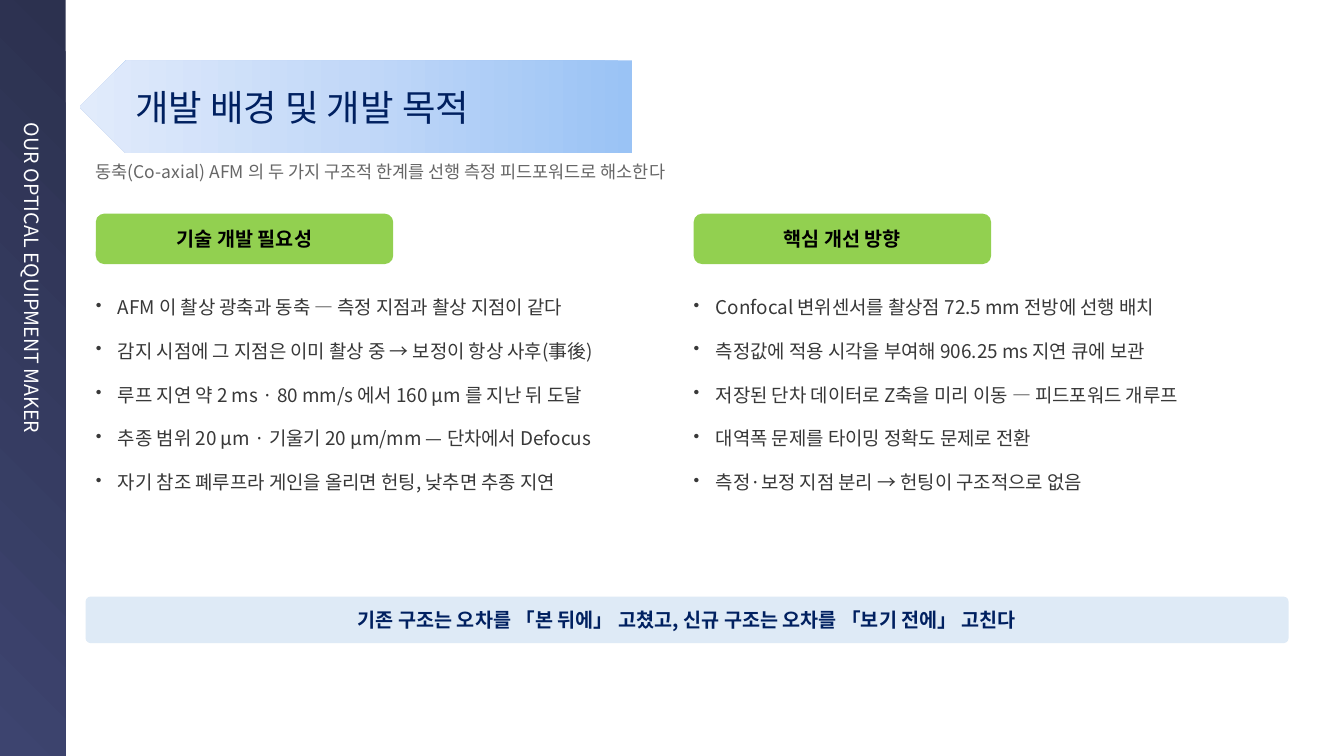
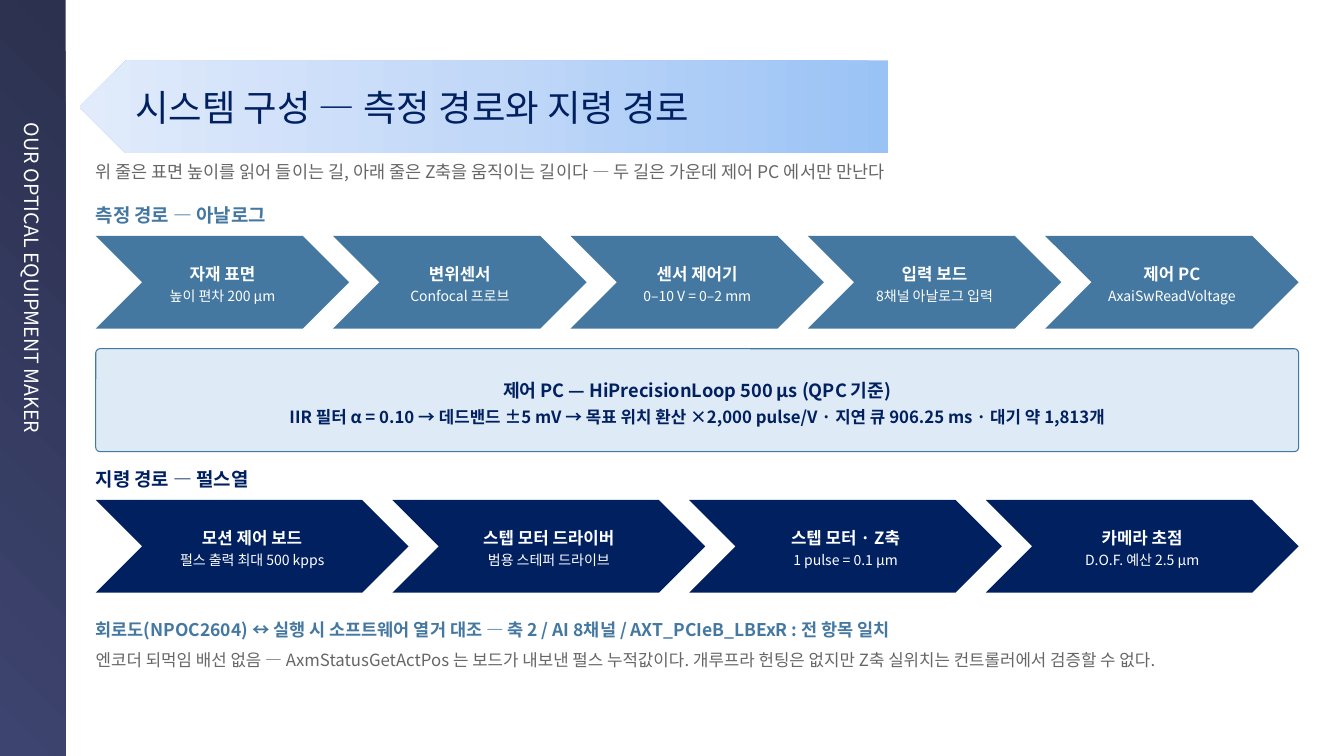
from lxml.etree import SubElement
from pptx import Presentation
from pptx.dml.color import RGBColor
from pptx.enum.shapes import MSO_SHAPE as Geo
from pptx.enum.text import MSO_ANCHOR as Anchor, PP_ALIGN as Align
from pptx.oxml.ns import qn
from pptx.util import Pt

FONT = "Noto Sans CJK KR"
NAVY, STEEL, PALE = "002060", "4478A0", "DEEAF6"
GRAY, INK, GREEN, WHITE, BLACK = "666666", "383838", "92D050", "FFFFFF", "000000"
SIDE = [(0, "2C314F"), (100, "3D446F")]
BANNER = [(0, "9AC3F5"), (50, "C2D8F8"), (100, "E1EBFB")]
WIDE, HIGH, BAND = 1333, 750, 65
LEFT, FULL, LAP = 95, 1193, 16
FIRM = "OUR OPTICAL EQUIPMENT MAKER"

GOAL = {
    "title": "개발 배경 및 개발 목적",
    "width": 450,
    "lead": "동축(Co-axial) AFM 의 두 가지 구조적 한계를 선행 측정 피드포워드로 해소한다",
}
COLS = [
    (95, 578, "기술 개발 필요성", [
        "AFM 이 촬상 광축과 동축 — 측정 지점과 촬상 지점이 같다",
        "감지 시점에 그 지점은 이미 촬상 중 → 보정이 항상 사후(事後)",
        "루프 지연 약 2 ms · 80 mm/s 에서 160 µm 를 지난 뒤 도달",
        "추종 범위 20 µm · 기울기 20 µm/mm — 단차에서 Defocus",
        "자기 참조 폐루프라 게인을 올리면 헌팅, 낮추면 추종 지연",
    ]),
    (688, 572, "핵심 개선 방향", [
        "Confocal 변위센서를 촬상점 72.5 mm 전방에 선행 배치",
        "측정값에 적용 시각을 부여해 906.25 ms 지연 큐에 보관",
        "저장된 단차 데이터로 Z축을 미리 이동 — 피드포워드 개루프",
        "대역폭 문제를 타이밍 정확도 문제로 전환",
        "측정·보정 지점 분리 → 헌팅이 구조적으로 없음",
    ]),
]
CLOSE = "기존 구조는 오차를 「본 뒤에」 고쳤고, 신규 구조는 오차를 「보기 전에」 고친다"

SYSTEM = {
    "title": "시스템 구성 — 측정 경로와 지령 경로",
    "width": 704,
    "lead": "위 줄은 표면 높이를 읽어 들이는 길, 아래 줄은 Z축을 움직이는 길이다 — 두 길은 가운데 제어 PC 에서만 만난다",
}
PATHS = [
    (202, STEEL, "측정 경로 — 아날로그", [
        ("자재 표면", "높이 편차 200 µm"),
        ("변위센서", "Confocal 프로브"),
        ("센서 제어기", "0–10 V = 0–2 mm"),
        ("입력 보드", "8채널 아날로그 입력"),
        ("제어 PC", "AxaiSwReadVoltage"),
    ]),
    (464, NAVY, "지령 경로 — 펄스열", [
        ("모션 제어 보드", "펄스 출력 최대 500 kpps"),
        ("스텝 모터 드라이버", "범용 스테퍼 드라이브"),
        ("스텝 모터 · Z축", "1 pulse = 0.1 µm"),
        ("카메라 초점", "D.O.F. 예산 2.5 µm"),
    ]),
]
LOOP = [
    ("제어 PC — HiPrecisionLoop 500 µs (QPC 기준)", 13),
    ("IIR 필터 α = 0.10 → 데드밴드 ±5 mV → 목표 위치 환산 ×2,000 pulse/V · 지연 큐 906.25 ms · 대기 약 1,813개", 12),
]
CHECK = "회로도(NPOC2604) ↔ 실행 시 소프트웨어 열거 대조 — 축 2 / AI 8채널 / AXT_PCIeB_LBExR : 전 항목 일치"
LIMIT = "엔코더 되먹임 배선 없음 — AxmStatusGetActPos 는 보드가 내보낸 펄스 누적값이다. 개루프라 헌팅은 없지만 Z축 실위치는 컨트롤러에서 검증할 수 없다."


def px(*nums):
    return [round(n * 9144) for n in nums]


def tint(code):
    return RGBColor.from_string(code)


def para(text, size, color, bold=False, **more):
    return dict(text=text, size=size, color=color, bold=bold, **more)


def write(shape, paras, anchor=Anchor.TOP, pad=(0, 0, 0, 0)):
    frame = shape.text_frame
    frame.word_wrap = True
    frame.vertical_anchor = anchor
    (frame.margin_left, frame.margin_top,
     frame.margin_right, frame.margin_bottom) = px(*pad)
    for i, item in enumerate(paras):
        p = frame.add_paragraph() if i else frame.paragraphs[0]
        p.text = item["text"]
        p.alignment = item.get("align", Align.LEFT)
        props = p._p.get_or_add_pPr()
        if item.get("dot"):
            props.set("marL", str(px(22)[0]))
            props.set("indent", str(px(-22)[0]))
            SubElement(props, qn("a:buSzPct"), val="90000")
            SubElement(props, qn("a:buChar"), char="•")
        if "lead" in item:
            p.line_spacing = item["lead"]
        if "after" in item:
            p.space_after = Pt(item["after"])
        font = p.font
        font.name, font.size, font.bold = FONT, Pt(item["size"]), item["bold"]
        font.color.rgb = tint(item["color"])
        SubElement(props.find(qn("a:defRPr")), qn("a:ea"), typeface=FONT)


def label(slide, box, *paras, anchor=Anchor.TOP):
    write(slide.shapes.add_textbox(*px(*box)), paras, anchor)


def block(slide, geo, box, fill=None, line=None, round_=None):
    shape = slide.shapes.add_shape(geo, *px(*box))
    shape.shadow.inherit = False
    if fill:
        shape.fill.solid()
        shape.fill.fore_color.rgb = tint(fill)
    if line:
        shape.line.color.rgb = tint(line)
        shape.line.width = Pt(0.75)
    else:
        shape.line.fill.background()
    if round_ is not None:
        shape.adjustments[0] = round_
    return shape


def shade(shape, stops, angle):
    shape.fill.gradient()
    shape.fill.gradient_angle = angle
    group = next(shape._element.iter(qn("a:gsLst")))
    for stop in list(group):
        group.remove(stop)
    for place, code in stops:
        stop = SubElement(group, qn("a:gs"), pos=str(place * 1000))
        SubElement(stop, qn("a:srgbClr"), val=code)


def start(deck, head):
    slide = deck.slides.add_slide(deck.slide_layouts[6])
    side = block(slide, Geo.RECTANGLE,
                 ((BAND - HIGH) / 2, (HIGH - BAND) / 2, HIGH, BAND))
    side.rotation = 90
    shade(side, SIDE, 315)
    write(side, [para(FIRM, 14, WHITE)], Anchor.MIDDLE, (122, 5, 10, 5))
    flag = block(slide, Geo.PENTAGON, (79, 60, head["width"] + 98, 92))
    flag._element.spPr.xfrm.set("flipH", "1")
    shade(flag, BANNER, 0)
    label(slide, (134, 60, head["width"], 92),
          para(head["title"], 26, NAVY), anchor=Anchor.MIDDLE)
    label(slide, (LEFT, 160, FULL, 34), para(head["lead"], 12.5, GRAY))
    return slide


def goal(deck):
    slide = start(deck, GOAL)
    for left, width, name, points in COLS:
        pill = block(slide, Geo.FLOWCHART_ALTERNATE_PROCESS,
                     (left, 212, 295, 50), GREEN)
        write(pill, [para(name, 14, BLACK, True, align=Align.CENTER)],
              Anchor.MIDDLE, (5, 0, 5, 0))
        label(slide, (left, 288, width, 340),
              *[para(t, 13.5, INK, dot=True, lead=1.25, after=11)
                for t in points])
    bar = block(slide, Geo.ROUNDED_RECTANGLE, (85, 592, FULL, 46),
                PALE, round_=0.1)
    write(bar, [para(CLOSE, 14, NAVY, True, align=Align.CENTER)],
          Anchor.MIDDLE, (6, 2, 6, 2))


def system(deck):
    slide = start(deck, SYSTEM)
    for top, color, name, steps in PATHS:
        label(slide, (LEFT, top, 600, 28), para(name, 13.5, color, True))
        width = (FULL + LAP * (len(steps) - 1)) / len(steps)
        for i, (main, note) in enumerate(steps):
            step = block(slide, Geo.CHEVRON,
                         (LEFT + i * (width - LAP), top + 32, width, 92), color)
            write(step, [
                para(main, 12, WHITE, True, align=Align.CENTER, lead=1.2),
                para(note, 10, WHITE, align=Align.CENTER, lead=1.2),
            ], Anchor.MIDDLE, (6, 2, 6, 2))
    core = block(slide, Geo.ROUNDED_RECTANGLE, (LEFT, 346, FULL, 102),
                 PALE, STEEL, 0.04)
    write(core, [para(t, size, NAVY, True, align=Align.CENTER, lead=1.25)
                 for t, size in LOOP], Anchor.MIDDLE, (6, 2, 6, 2))
    label(slide, (LEFT, 614, FULL, 75),
          para(CHECK, 12.5, STEEL, True, after=4),
          para(LIMIT, 12, GRAY, lead=1.2))


def main():
    """Build the two slides and save them."""
    deck = Presentation()
    deck.slide_width, deck.slide_height = px(WIDE, HIGH)
    goal(deck)
    system(deck)
    deck.save("out.pptx")


if __name__ == "__main__":
    main()
